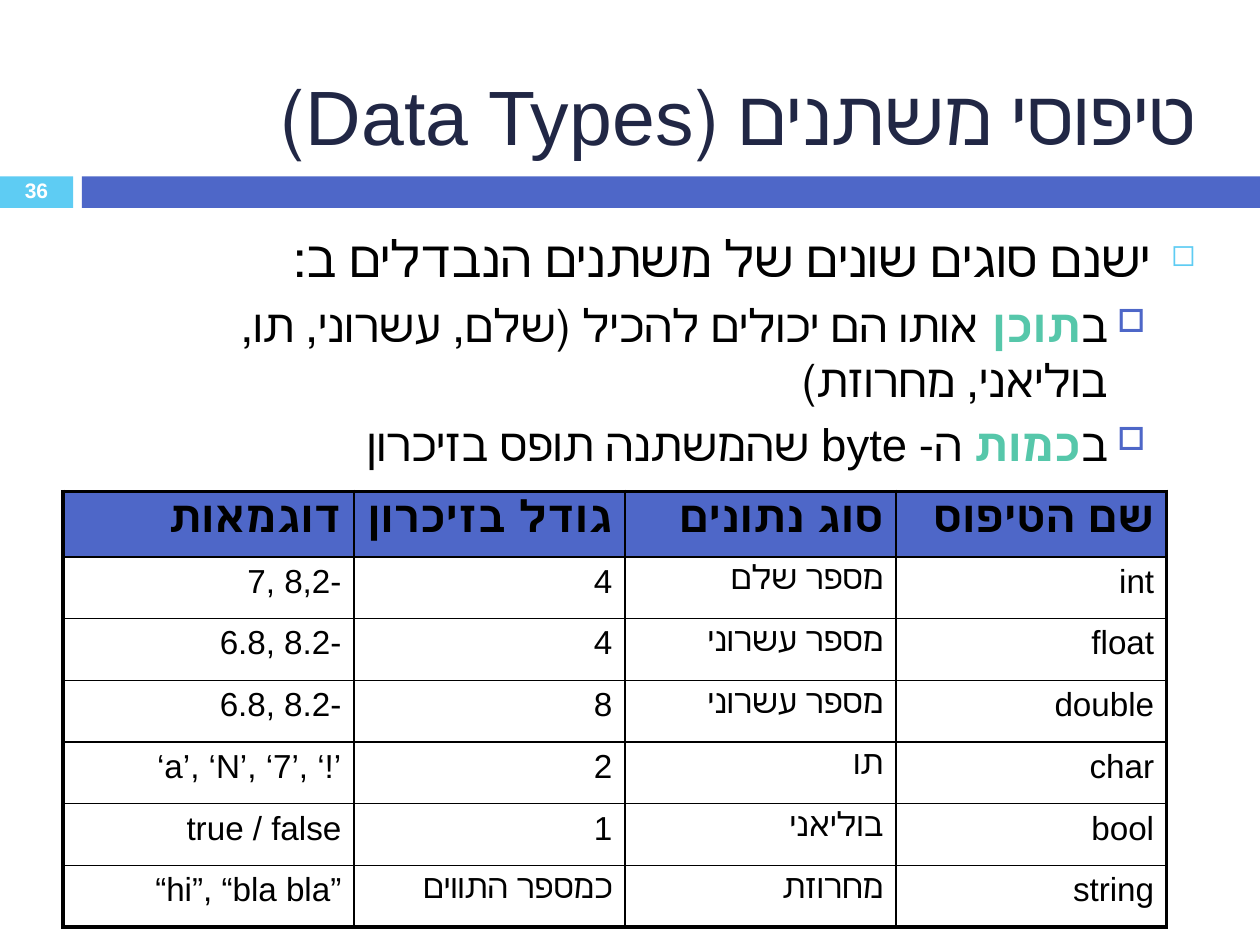
from lxml.etree import SubElement
from pptx import Presentation
from pptx.dml.color import RGBColor
from pptx.enum.shapes import MSO_SHAPE
from pptx.enum.text import MSO_ANCHOR, PP_ALIGN
from pptx.oxml.ns import qn
from pptx.util import Inches, Pt

BLACK = RGBColor(0x00, 0x00, 0x00)
WHITE = RGBColor(0xFF, 0xFF, 0xFF)
NAVY = RGBColor(0x21, 0x27, 0x45)
BLUE = RGBColor(0x4E, 0x67, 0xC8)
CYAN = RGBColor(0x5E, 0xCC, 0xF3)
GREEN = RGBColor(0x56, 0xC7, 0xAA)

TITLE = "טיפוסי משתנים (Data Types)"
PAGE_NUMBER = "36"
BARS = [(0, 0.58, CYAN), (0.65, 9.35, BLUE)]  # left, width, colour

# level, runs of (text, is key word)
BULLETS = [
    (0, [("ישנם סוגים שונים של משתנים הנבדלים ב:", False)]),
    (1, [("ב", False), ("תוכן ", True),
         ("אותו הם יכולים להכיל (שלם, עשרוני, תו, בוליאני, מחרוזת)", False)]),
    (1, [("ב", False), ("כמות", True),
         (" ה- byte שהמשתנה תופס בזיכרון", False)]),
]
LEVELS = [
    {"margin": 0.35, "hang": 0.35, "size": 29, "before": 7,
     "mark": "◻", "mark_color": CYAN, "mark_percent": 60},
    {"margin": 0.7, "hang": 0.3, "size": 26, "before": 5.5,
     "mark": "□", "mark_color": BLUE, "mark_percent": 70},
]

TYPES = [
    ("דוגמאות", "גודל בזיכרון", "סוג נתונים", "שם הטיפוס"),
    ("7, 8,2-", "4", "מספר שלם", "int"),
    ("6.8, 8.2-", "4", "מספר עשרוני", "float"),
    ("6.8, 8.2-", "8", "מספר עשרוני", "double"),
    ("‘a’, ‘N’, ‘7’, ‘!’", "2", "תו", "char"),
    ("true / false", "1", "בוליאני", "bool"),
    ("“hi”, “bla bla”", "כמספר התווים", "מחרוזת", "string"),
]
COLUMN_WIDTHS = [2.31, 2.15, 2.15, 2.15]
ROW_HEIGHTS = [0.52] + [0.49] * 6
OUTER_LINE, INNER_LINE = 2.25, 1


def add_run(paragraph, text, size, color, bold=False):
    run = paragraph.add_run()
    run.text = text
    for name, value in {"name": "Arial", "size": Pt(size), "bold": bold}.items():
        setattr(run.font, name, value)
    run.font.color.rgb = color


def add_text_frame(slide, left, top, width, height, anchor):
    box = slide.shapes.add_textbox(*map(Inches, (left, top, width, height)))
    box.text_frame.word_wrap = True
    box.text_frame.vertical_anchor = anchor
    return box.text_frame


def align_right_to_left(paragraph):
    paragraph.alignment = PP_ALIGN.RIGHT
    paragraph._p.get_or_add_pPr().set("rtl", "1")


def add_bullet(paragraph, level):
    properties = paragraph._p.get_or_add_pPr()
    properties.set("marL", str(Inches(level["margin"])))
    properties.set("indent", str(-Inches(level["hang"])))
    color = SubElement(properties, qn("a:buClr"))
    SubElement(color, qn("a:srgbClr"), val=str(level["mark_color"]))
    SubElement(properties, qn("a:buSzPct"), val=str(level["mark_percent"] * 1000))
    SubElement(properties, qn("a:buChar"), char=level["mark"])


def add_borders(cell, widths):
    properties = cell._tc.get_or_add_tcPr()
    for side, width in widths.items():
        line = SubElement(properties, qn(f"a:ln{side}"), w=str(Pt(width)))
        fill = SubElement(line, qn("a:solidFill"))
        SubElement(fill, qn("a:srgbClr"), val=str(BLACK))


def add_bars(slide):
    for left, width, color in BARS:
        bar = slide.shapes.add_shape(
            MSO_SHAPE.RECTANGLE, *map(Inches, (left, 1.4, width, 0.25)))
        bar.shadow.inherit = False
        bar.fill.solid()
        bar.fill.fore_color.rgb = color
        bar.line.fill.background()


def add_headings(slide):
    number = add_text_frame(slide, 0, 1.39, 0.58, 0.27, MSO_ANCHOR.MIDDLE).paragraphs[0]
    number.alignment = PP_ALIGN.CENTER
    number.line_spacing = 0.8
    add_run(number, PAGE_NUMBER, 12, WHITE, True)

    title = add_text_frame(slide, 0.67, 0.25, 8.92, 1.08, MSO_ANCHOR.BOTTOM).paragraphs[0]
    align_right_to_left(title)
    add_run(title, TITLE, 44, NAVY)


def add_body(slide):
    frame = add_text_frame(slide, 0.67, 1.75, 8.92, 4.95, MSO_ANCHOR.TOP)
    for index, (depth, runs) in enumerate(BULLETS):
        level = LEVELS[depth]
        paragraph = frame.add_paragraph() if index else frame.paragraphs[0]
        paragraph.level = depth
        align_right_to_left(paragraph)
        add_bullet(paragraph, level)
        if index:
            paragraph.space_before = Pt(level["before"])
        for text, is_key in runs:
            add_run(paragraph, text, level["size"], GREEN if is_key else BLACK, is_key)


def add_types_table(slide):
    last_row, last_column = len(TYPES) - 1, len(COLUMN_WIDTHS) - 1
    table = slide.shapes.add_table(
        len(TYPES), len(COLUMN_WIDTHS), Inches(0.5), Inches(3.9),
        Inches(sum(COLUMN_WIDTHS)), Inches(sum(ROW_HEIGHTS))).table
    table.first_row = table.horz_banding = False
    for column, width in zip(table.columns, COLUMN_WIDTHS):
        column.width = Inches(width)
    for row, height in zip(table.rows, ROW_HEIGHTS):
        row.height = Inches(height)

    for r, texts in enumerate(TYPES):
        is_header = r == 0
        for c, text in enumerate(texts):
            cell = table.cell(r, c)
            on_edge = {"L": c == 0, "R": c == last_column,
                       "T": is_header, "B": r == last_row}
            add_borders(cell, {side: OUTER_LINE if edge else INNER_LINE
                               for side, edge in on_edge.items()})
            if is_header:
                cell.fill.solid()
                cell.fill.fore_color.rgb = BLUE
            else:
                cell.fill.background()
            paragraph = cell.text_frame.paragraphs[0]
            paragraph.alignment = PP_ALIGN.RIGHT
            add_run(paragraph, text, 25 if is_header else 19, BLACK, is_header)


def main():
    presentation = Presentation()
    presentation.slide_width = Inches(10)
    presentation.slide_height = Inches(7.5)
    slide = presentation.slides.add_slide(presentation.slide_layouts[6])
    add_bars(slide)
    add_headings(slide)
    add_body(slide)
    add_types_table(slide)
    presentation.save("out.pptx")


if __name__ == "__main__":
    main()
